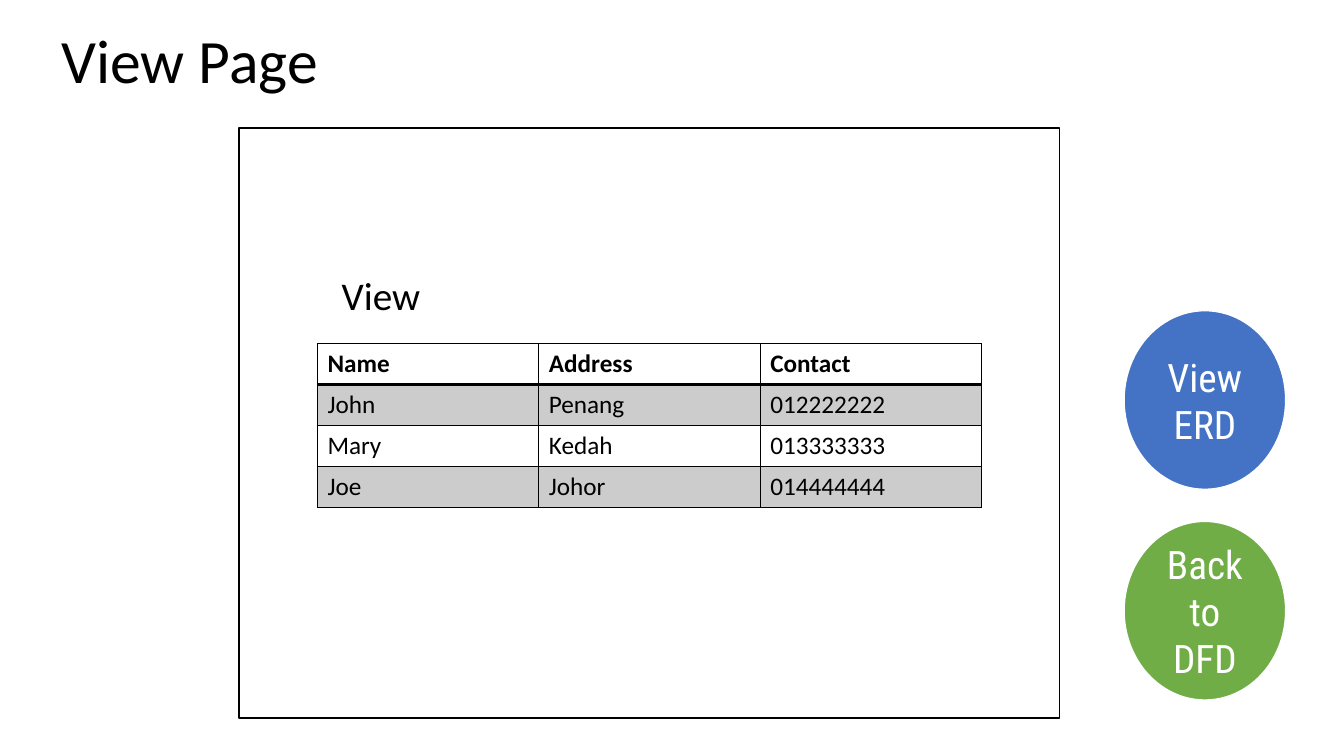
"""Build the View Page slide with its page frame, contact table and navigation buttons."""
import pptx
import pptx.dml.color
import pptx.enum.shapes
import pptx.enum.text
import pptx.oxml
import pptx.oxml.ns
import pptx.util

Cm = pptx.util.Cm
Pt = pptx.util.Pt
RGBColor = pptx.dml.color.RGBColor
Shape = pptx.enum.shapes.MSO_SHAPE
BLACK = RGBColor(0x00, 0x00, 0x00)
WHITE = RGBColor(0xFF, 0xFF, 0xFF)
BLUE = RGBColor(0x44, 0x72, 0xC4)
GREEN = RGBColor(0x70, 0xAD, 0x47)
BODY_FONT = "Calibri"
BUTTON_FONT = "Roboto Condensed"
BAND_ALPHA = 20
CONTACTS = [
    ("Name", "Address", "Contact"),
    ("John", "Penang", "012222222"),
    ("Mary", "Kedah", "013333333"),
    ("Joe", "Johor", "014444444"),
]


def add_run(paragraph, text, size, color=BLACK, font=BODY_FONT, bold=False):
    """Append one formatted run to a paragraph."""
    run = paragraph.add_run()
    run.text = text
    run.font.size = Pt(size)
    run.font.name = font
    run.font.bold = bold
    run.font.color.rgb = color


def add_label(slide, box, text, size):
    """Add a single-line text box that grows with its text."""
    label = slide.shapes.add_textbox(*map(Cm, box))
    label.text_frame.word_wrap = False
    label.text_frame.auto_size = pptx.enum.text.MSO_AUTO_SIZE.SHAPE_TO_FIT_TEXT
    add_run(label.text_frame.paragraphs[0], text, size)


def add_filled_shape(slide, preset, box, fill, line, line_width):
    """Add a flat preset shape with a solid fill and outline."""
    shape = slide.shapes.add_shape(preset, *map(Cm, box))
    shape.shadow.inherit = False
    shape.fill.solid()
    shape.fill.fore_color.rgb = fill
    shape.line.color.rgb = line
    shape.line.width = Pt(line_width)
    return shape


def add_button(slide, box, lines, fill):
    """Add a round button with one centred paragraph per line."""
    button = add_filled_shape(slide, Shape.OVAL, box, fill, WHITE, 1.5)
    frame = button.text_frame
    frame.word_wrap = True
    frame.vertical_anchor = pptx.enum.text.MSO_ANCHOR.MIDDLE
    for index, text in enumerate(lines):
        paragraph = frame.add_paragraph() if index else frame.paragraphs[0]
        paragraph.alignment = pptx.enum.text.PP_ALIGN.CENTER
        add_run(paragraph, text, 28, WHITE, BUTTON_FONT)


def style_cell(cell, banded, bottom_width):
    """Set the fill and the four borders of a table cell."""
    properties = cell._tc.get_or_add_tcPr()
    namespace = pptx.oxml.ns.nsdecls("a")
    if banded:
        cell.fill.solid()
        cell.fill.fore_color.rgb = BLACK
        color = properties.find(".//" + pptx.oxml.ns.qn("a:srgbClr"))
        color.append(pptx.oxml.parse_xml(
            f'<a:alpha {namespace} val="{BAND_ALPHA * 1000}"/>'))
    else:
        cell.fill.background()
    widths = {"lnL": 1, "lnR": 1, "lnT": 1, "lnB": bottom_width}
    for index, (side, width) in enumerate(widths.items()):
        properties.insert(index, pptx.oxml.parse_xml(
            f'<a:{side} {namespace} w="{Pt(width)}"><a:solidFill>'
            f'<a:srgbClr val="{BLACK}"/></a:solidFill></a:{side}>'))


def add_contact_table(slide, box):
    """Add the contact table with a bold header and banded rows."""
    graphic = slide.shapes.add_table(
        len(CONTACTS), len(CONTACTS[0]), *map(Cm, box))
    for row_index, values in enumerate(CONTACTS):
        header = row_index == 0
        for column_index, text in enumerate(values):
            cell = graphic.table.cell(row_index, column_index)
            add_run(cell.text_frame.paragraphs[0], text, 18, bold=header)
            bottom_width = 2 if header else 1
            style_cell(cell, row_index % 2 == 1, bottom_width)
            if row_index == 1:
                top = cell._tc.tcPr.find(pptx.oxml.ns.qn("a:lnT"))
                top.set("w", str(Pt(2)))


def add_page(slide, box):
    """Add the framed page with its heading and table."""
    left, top, width, height = box
    add_filled_shape(slide, Shape.RECTANGLE, box, WHITE, BLACK, 1)
    add_label(slide, (left + 2.34, top + 3.48, 2.51, 1.45), "View", 28)
    add_contact_table(slide, (left + 1.98, top + 5.43, width - 3.94, 4.12))


def add_navigation(slide, box):
    """Stack the buttons from the top to the bottom of the box."""
    left, top, width, height = box
    button_height = 4.52
    buttons = [(("View", "ERD"), BLUE), (("Back to DFD",), GREEN)]
    step = (height - button_height) / (len(buttons) - 1)
    for index, (lines, fill) in enumerate(buttons):
        button_box = (left, top + index * step, width, button_height)
        add_button(slide, button_box, lines, fill)


def main():
    """Assemble and save the presentation."""
    presentation = pptx.Presentation()
    presentation.slide_width = Cm(33.87)
    presentation.slide_height = Cm(19.05)
    slide = presentation.slides.add_slide(presentation.slide_layouts[6])
    add_page(slide, (6.02, 3.23, 20.68, 14.86))
    add_navigation(slide, (28.32, 7.82, 4.09, 9.83))
    add_label(slide, (1.3, 0.43, 7.06, 2.13), "View Page", 44)
    presentation.save("out.pptx")


main()
